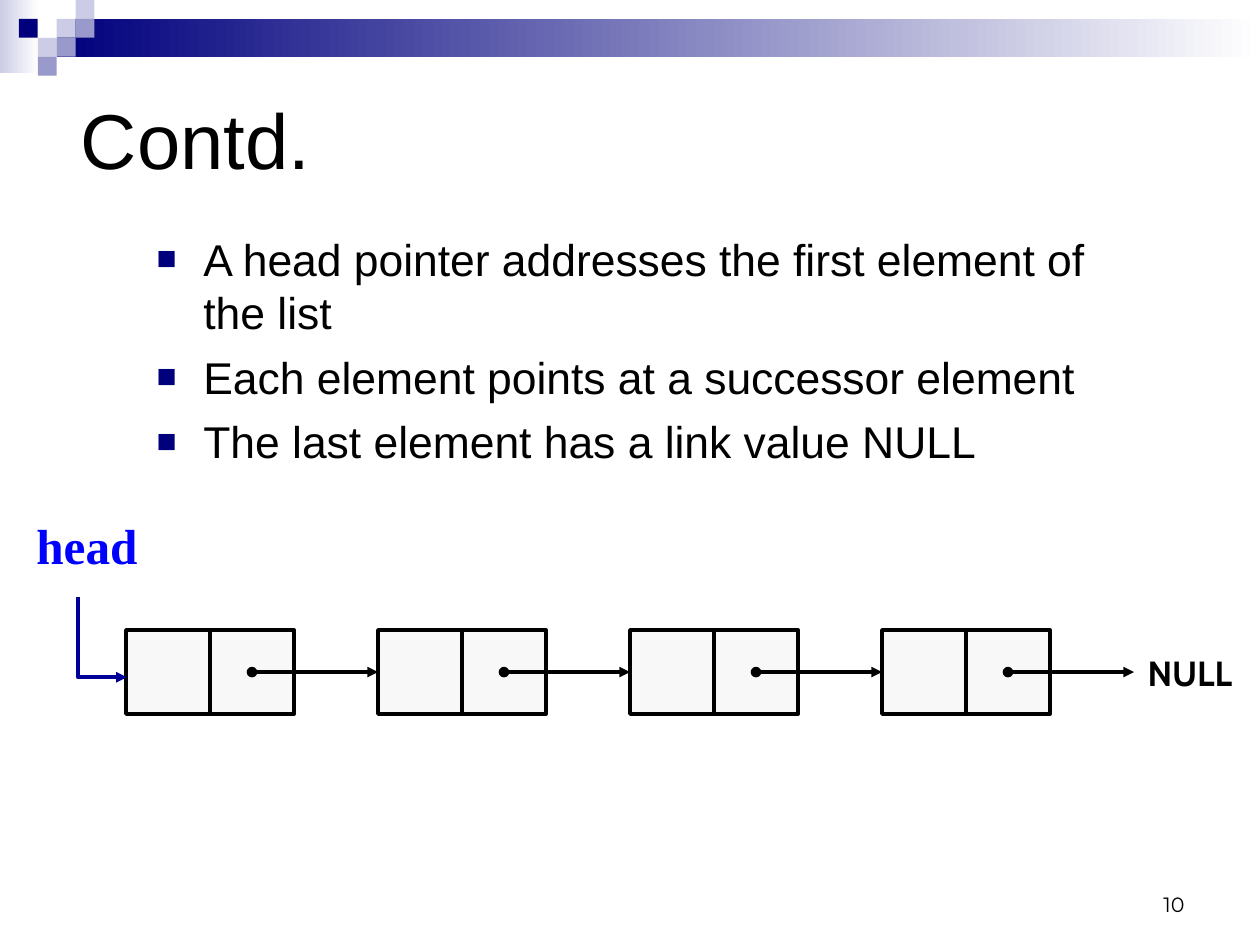
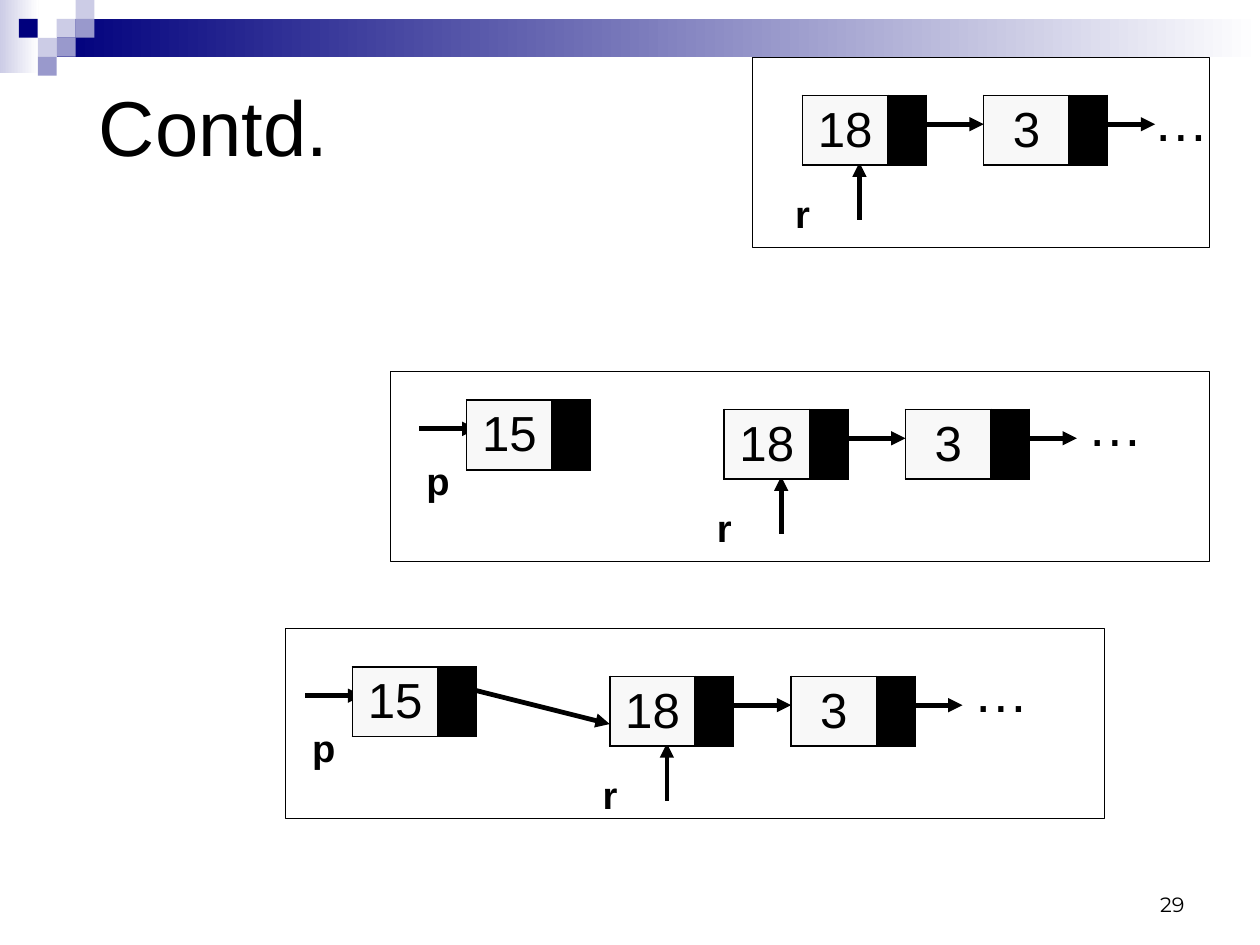
from lxml.etree import SubElement
from pptx import Presentation
from pptx.dml.color import RGBColor
from pptx.enum.shapes import MSO_CONNECTOR, MSO_SHAPE
from pptx.enum.text import MSO_ANCHOR, PP_ALIGN
from pptx.oxml import parse_xml
from pptx.oxml.ns import nsdecls, qn
from pptx.util import Cm, Pt

# Colours
BLACK = RGBColor(0x00, 0x00, 0x00)
WHITE = RGBColor(0xFF, 0xFF, 0xFF)
NAVY = RGBColor(0x00, 0x00, 0x7D)
LILAC = RGBColor(0x99, 0x99, 0xCC)
PALE = RGBColor(0xCC, 0xCC, 0xE6)
CELL = RGBColor(0xF8, 0xF8, 0xF8)
BLUE = RGBColor(0x00, 0x00, 0xFF)
ELBOW_BLUE = RGBColor(0x00, 0x00, 0x99)

# Text styles
TITLE = {"name": "Arial", "size": Pt(49)}
BODY = {"name": "Arial", "size": Pt(28)}
NUMBER = {"name": "Montserrat", "size": Pt(13)}
NULL_MARK = {"name": "Cabin", "size": Pt(22), "bold": True}
HEAD_MARK = {"name": "Times New Roman", "size": Pt(31), "bold": True}
VALUE = {"name": "Arial", "size": Pt(31)}
POINTER = {"name": "Arial", "size": Pt(24), "bold": True}
DOTS = {"name": "Arial", "size": Pt(35)}

# Sizes in cm
WIDTH, HEIGHT = 28, 21
TILE = 0.42
INSET = (0.28, 0.15)
HALF = 1.87  # half of a node on the first slide
PITCH = 5.6
VALUE_W, LINK_W, NODE_H = 1.9, 0.85, 1.55
NEXT_NODE = 4.03
LINK_Y = 0.64


def style_font(font, style, color=BLACK):
    for name, value in style.items():
        setattr(font, name, value)
    font.color.rgb = color


def text(s, lines, box, style, color=BLACK, align=PP_ALIGN.LEFT,
         anchor=MSO_ANCHOR.TOP, inset=INSET, bullets=False):
    tf = s.shapes.add_textbox(*map(Cm, box)).text_frame
    tf.word_wrap = True
    tf.vertical_anchor = anchor
    tf.margin_left = tf.margin_right = Cm(inset[0])
    tf.margin_top = tf.margin_bottom = Cm(inset[1])
    for i, line in enumerate(lines):
        p = tf.add_paragraph() if i else tf.paragraphs[0]
        p.alignment = align
        if i:
            p.space_before = Pt(7)
        if bullets:
            add_bullet(p)
        r = p.add_run()
        r.text = line
        style_font(r.font, style, color)


def add_bullet(p):
    pPr = p._p.get_or_add_pPr()
    pPr.set("marL", str(Cm(1.04)))
    pPr.set("indent", str(-Cm(1.04)))
    SubElement(SubElement(pPr, qn("a:buClr")), qn("a:srgbClr"), val=str(NAVY))
    SubElement(pPr, qn("a:buSzPct"), val="75000")
    SubElement(pPr, qn("a:buFont"), typeface="Arial")
    SubElement(pPr, qn("a:buChar"), char="■")


def rect(s, box, fill=None, line=None):
    sp = s.shapes.add_shape(MSO_SHAPE.RECTANGLE, *map(Cm, box))
    sp.shadow.inherit = False
    if fill is None:
        sp.fill.background()
    else:
        sp.fill.solid()
        sp.fill.fore_color.rgb = fill
    if line is None:
        sp.line.fill.background()
    else:
        sp.line.color.rgb = BLACK
        sp.line.width = Pt(line)
    return sp


def fading_band(s, box, color):
    sp = rect(s, box)
    sp.fill.gradient()
    sp.fill.gradient_angle = 0
    for stop, position, rgb in zip(sp.fill.gradient_stops, (0, 1), (color, WHITE)):
        stop.position = position
        stop.color.rgb = rgb


def arrow(s, start, end, width, head=None, tail="triangle",
          color=BLACK, kind=MSO_CONNECTOR.STRAIGHT):
    c = s.shapes.add_connector(kind, *map(Cm, (*start, *end)))
    c.line.color.rgb = color
    c.line.width = Pt(width)
    ln = c.line._get_or_add_ln()
    for tag, end_type in (("a:headEnd", head), ("a:tailEnd", tail)):
        if end_type:
            SubElement(ln, qn(tag), type=end_type)
    SubElement(c._element.spPr, qn("a:effectLst"))
    return c


def down_then_right(s, x, y, drop, run):
    # One-bend connector: its unrotated box is turned a quarter about its centre
    cx, cy = x + run / 2, y + drop / 2
    c = arrow(s, (cx + drop / 2, cy - run / 2), (cx - drop / 2, cy + run / 2),
              2.25, color=ELBOW_BLUE, kind=MSO_CONNECTOR.ELBOW)
    spPr = c._element.spPr
    spPr.find(qn("a:prstGeom")).set("prst", "bentConnector2")
    spPr.find(qn("a:xfrm")).set("rot", "16200000")


def node_table(s, value, x, y):
    shape = s.shapes.add_table(1, 2, *map(Cm, (x, y, VALUE_W + LINK_W, NODE_H)))
    table = shape.table
    for i, (width, fill) in enumerate(((VALUE_W, CELL), (LINK_W, BLACK))):
        table.columns[i].width = Cm(width)
        cell = table.cell(0, i)
        cell.fill.solid()
        cell.fill.fore_color.rgb = fill
        cell.vertical_anchor = MSO_ANCHOR.MIDDLE
        cell.margin_left = cell.margin_right = 0
        cell.margin_top = cell.margin_bottom = 0
        tcPr = cell._tc.get_or_add_tcPr()
        for j, side in enumerate("LRTB"):
            tcPr.insert(j, parse_xml(
                f'<a:ln{side} {nsdecls("a")} w="{Pt(1.08)}"><a:solidFill>'
                f'<a:srgbClr val="{BLACK}"/></a:solidFill></a:ln{side}>'))
    p = table.cell(0, 0).text_frame.paragraphs[0]
    p.alignment = PP_ALIGN.CENTER
    r = p.add_run()
    r.text = value
    style_font(r.font, VALUE)


def mark(s, label, x, y, style, height=1.02):
    text(s, [label], (x, y, 1.69, height), style, align=PP_ALIGN.CENTER, inset=(0, 0))


def list_tail(s, x, y, dots=(7.85, -0.42)):
    # Nodes 18 and 3 with pointer r and the dots; x, y is the corner of node 18
    arrow(s, (x + 1.27, y + 1.49), (x + 1.27, y + 2.76), 3, head="triangle", tail=None)
    node_table(s, "18", x, y)
    arrow(s, (x + 2.33, y + LINK_Y), (x + NEXT_NODE, y + LINK_Y), 3)
    mark(s, "r", x - 0.84, y + 2.12, POINTER)
    x3 = x + NEXT_NODE
    node_table(s, "3", x3, y)
    arrow(s, (x3 + 2.11, y + LINK_Y), (x3 + 3.81, y + LINK_Y), 3)
    mark(s, "…", x + dots[0], y + dots[1], DOTS, 1.48)


def new_node(s, x, y):
    # Node 15 with pointer p
    arrow(s, (x - 1.05, y + LINK_Y), (x + 0.22, y + LINK_Y), 3)
    node_table(s, "15", x, y)
    mark(s, "p", x - 1.48, y + 1.27, POINTER)


def panel(s, x, y, width):
    rect(s, (x, y, width, 4.23), line=0.75)


def base_slide(prs, number, title_box):
    s = prs.slides.add_slide(prs.slide_layouts[6])
    # Header bands and tiles
    fading_band(s, (0, 0, 0.86, 1.63), PALE)
    fading_band(s, (3 * TILE, TILE, WIDTH - 3 * TILE, 2 * TILE), NAVY)
    for col, row, fill in ((3, 1, PALE), (4, 0, PALE), (4, 1, LILAC), (2, 2, PALE),
                           (1, 1, NAVY), (3, 2, LILAC), (2, 3, LILAC)):
        rect(s, (col * TILE, row * TILE, TILE, TILE), fill)
    # Slide number and title
    text(s, [number], (20.07, 19.13, 6.53, 1.4), NUMBER,
         align=PP_ALIGN.RIGHT, anchor=MSO_ANCHOR.BOTTOM)
    text(s, ["Contd."], title_box, TITLE, anchor=MSO_ANCHOR.MIDDLE)
    return s


def linked_list_slide(prs):
    s = base_slide(prs, "10", (1.52, 0.97, 25.2, 4.19))
    text(s, ["A head pointer addresses the first element of the list",
             "Each element points at a successor element",
             "The last element has a link value NULL"],
         (3.2, 5, 22.73, 5.94), BODY, bullets=True)
    # Chain of four nodes
    top = 14
    for i in range(4):
        x = 2.8 + i * PITCH
        for left in (x, x + HALF):
            rect(s, (left, top, HALF, HALF), CELL, 2.25)
        y = top + HALF / 2
        arrow(s, (x + PITCH / 2, y), (x + PITCH, y), 2.25, head="oval")
    text(s, ["NULL"], (24.94, 14.33, 3, 1.22), NULL_MARK, align=PP_ALIGN.CENTER)
    # Head pointer
    text(s, ["head"], (0.53, 11.3, 3, 1.6), HEAD_MARK, BLUE)
    down_then_right(s, 1.73, 13.26, 1.79, 1.09)


def insertion_slide(prs):
    s = base_slide(prs, "29", (1.92, 1.6, 24.5, 2.36))
    # New node before it is linked
    panel(s, 8.68, 8.25, 18.2)
    new_node(s, 10.37, 8.89)
    list_tail(s, 16.09, 9.1)
    # New node linked to the list
    panel(s, 6.35, 13.97, 18.2)
    new_node(s, 7.83, 14.82)
    list_tail(s, 13.55, 15.03)
    arrow(s, (10.16, 15.24), (13.55, 16.09), 3)
    # Initial list
    panel(s, 16.72, 1.27, 10.16)
    list_tail(s, 17.83, 2.12, dots=(7.57, -0.21))


def main():
    prs = Presentation()
    prs.slide_width, prs.slide_height = Cm(WIDTH), Cm(HEIGHT)
    linked_list_slide(prs)
    insertion_slide(prs)
    prs.save("out.pptx")


if __name__ == "__main__":
    main()
